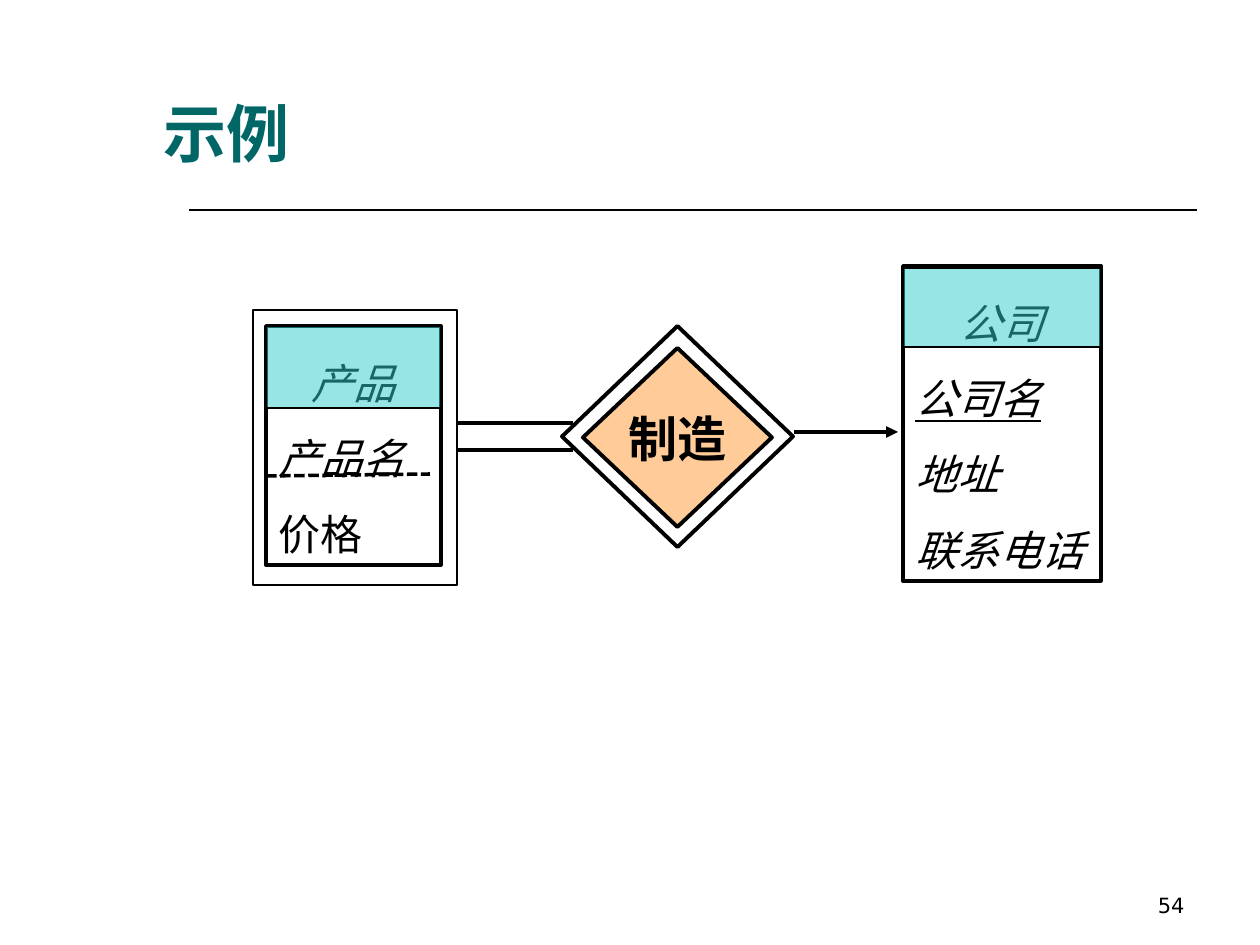
from lxml.etree import SubElement
from pptx import Presentation
from pptx.dml.color import RGBColor
from pptx.enum.dml import MSO_LINE
from pptx.enum.shapes import MSO_CONNECTOR, MSO_SHAPE
from pptx.enum.text import MSO_ANCHOR as Anchor, MSO_AUTO_SIZE as AutoSize, PP_ALIGN as Align
from pptx.oxml.ns import qn
from pptx.util import Emu, Pt

PX = 914400 // 126
COLORS = {
    "black": "000000",
    "title": "006666",
    "header": "33CCCC",
    "relation": "FFCC99",
}
SERIF = "Times New Roman"


def px(*values):
    return [Emu(value * PX) for value in values]


def rgb(name):
    return RGBColor.from_string(COLORS[name])


def format_runs(paragraph, font, size, color="black", bold=False, italic=False, underline=False):
    for run in paragraph.runs:
        run.font.name = font
        run.font.size = Pt(size)
        run.font.color.rgb = rgb(color)
        run.font.bold = bold
        run.font.italic = italic
        run.font.underline = underline


def add_outline(slide, kind, box, width, fill=None, alpha=None):
    shape = slide.shapes.add_shape(kind, *px(*box))
    shape.shadow.inherit = False
    shape.line.color.rgb = rgb("black")
    shape.line.width = Pt(width)
    if fill is None:
        shape.fill.background()
        return shape
    shape.fill.solid()
    shape.fill.fore_color.rgb = rgb(fill)
    if alpha is not None:
        color = shape.fill._xPr.find(qn("a:solidFill"))[0]
        SubElement(color, qn("a:alpha"), val=str(alpha * 1000))
    return shape


def add_line(slide, start, end, width, dash=None, arrow=False):
    line = slide.shapes.add_connector(MSO_CONNECTOR.STRAIGHT, *px(*start, *end))
    line.line.color.rgb = rgb("black")
    line.line.width = Pt(width)
    if dash is not None:
        line.line.dash_style = dash
    if arrow:
        SubElement(line.line._get_or_add_ln(), qn("a:tailEnd"), type="triangle")
    SubElement(line._element.spPr, qn("a:effectLst"))


def add_entity(slide, box, header_box, rows):
    """Draw an entity: rows are (text, italic, underline), the first is its name."""
    entity = add_outline(slide, MSO_SHAPE.RECTANGLE, box, 2)
    frame = entity.text_frame
    frame.vertical_anchor = Anchor.TOP
    frame.auto_size = AutoSize.SHAPE_TO_FIT_TEXT
    frame.text = "\n".join(text for text, _, _ in rows)
    for paragraph, (_, italic, underline) in zip(frame.paragraphs, rows):
        paragraph.alignment = Align.LEFT
        paragraph.line_spacing = 1.5
        format_runs(paragraph, SERIF, 24, italic=italic, underline=underline)
    frame.paragraphs[0].alignment = Align.CENTER
    add_outline(slide, MSO_SHAPE.RECTANGLE, header_box, 0.75, "header", 50)


def add_relation(slide, inner_box, outer_box, text):
    diamond = add_outline(slide, MSO_SHAPE.DIAMOND, inner_box, 2.25, "relation")
    frame = diamond.text_frame
    frame.word_wrap = False
    frame.vertical_anchor = Anchor.MIDDLE
    frame.text = text
    frame.paragraphs[0].alignment = Align.CENTER
    format_runs(frame.paragraphs[0], SERIF, 28, bold=True)
    add_outline(slide, MSO_SHAPE.DIAMOND, outer_box, 2.25)


def set_title(slide, text):
    title = slide.shapes.title
    title.left, title.top, title.width, title.height = px(151, 18, 1008, 158)
    frame = title.text_frame
    frame.text = text
    frame.auto_size = AutoSize.NONE
    frame.vertical_anchor = Anchor.BOTTOM
    frame.paragraphs[0].alignment = Align.LEFT
    format_runs(frame.paragraphs[0], "Arial", 36, "title", bold=True)


def add_page_number(slide, text):
    frame = slide.shapes.add_textbox(*px(903, 861, 294, 63)).text_frame
    frame.word_wrap = True
    frame.vertical_anchor = Anchor.BOTTOM
    frame.text = text
    frame.paragraphs[0].alignment = Align.RIGHT
    format_runs(frame.paragraphs[0], "DejaVu Sans", 12)


def main():
    presentation = Presentation()
    presentation.slide_width, presentation.slide_height = px(1260, 945)
    slide = presentation.slides.add_slide(presentation.slide_layouts[5])

    # Title, rule and page number
    set_title(slide, "示例")
    add_line(slide, (189, 210), (1197, 210), 1)
    add_page_number(slide, "54")

    # Relation with its double line and arrow
    for y in (423, 450):
        add_line(slide, (457, y), (573, y), 2.25)
    add_line(slide, (794, 432), (898, 432), 2.25, arrow=True)
    add_relation(slide, (583, 348, 189, 179), (562, 326, 231, 221), "制造")

    # Company entity
    add_entity(slide, (903, 266, 198, 315), (903, 268, 198, 79), [
        ("公司", True, False),
        ("公司名", True, True),
        ("地址", True, False),
        ("联系电话", True, False),
    ])

    # Weak product entity with its frame and dashed partial key
    add_entity(slide, (266, 326, 175, 239), (266, 326, 175, 82), [
        ("产品", True, False),
        ("产品名", True, False),
        ("价格", False, False),
    ])
    add_outline(slide, MSO_SHAPE.RECTANGLE, (253, 310, 204, 275), 0.75)
    add_line(slide, (266, 476), (430, 474), 2, dash=MSO_LINE.SQUARE_DOT)

    presentation.save("out.pptx")


if __name__ == "__main__":
    main()
